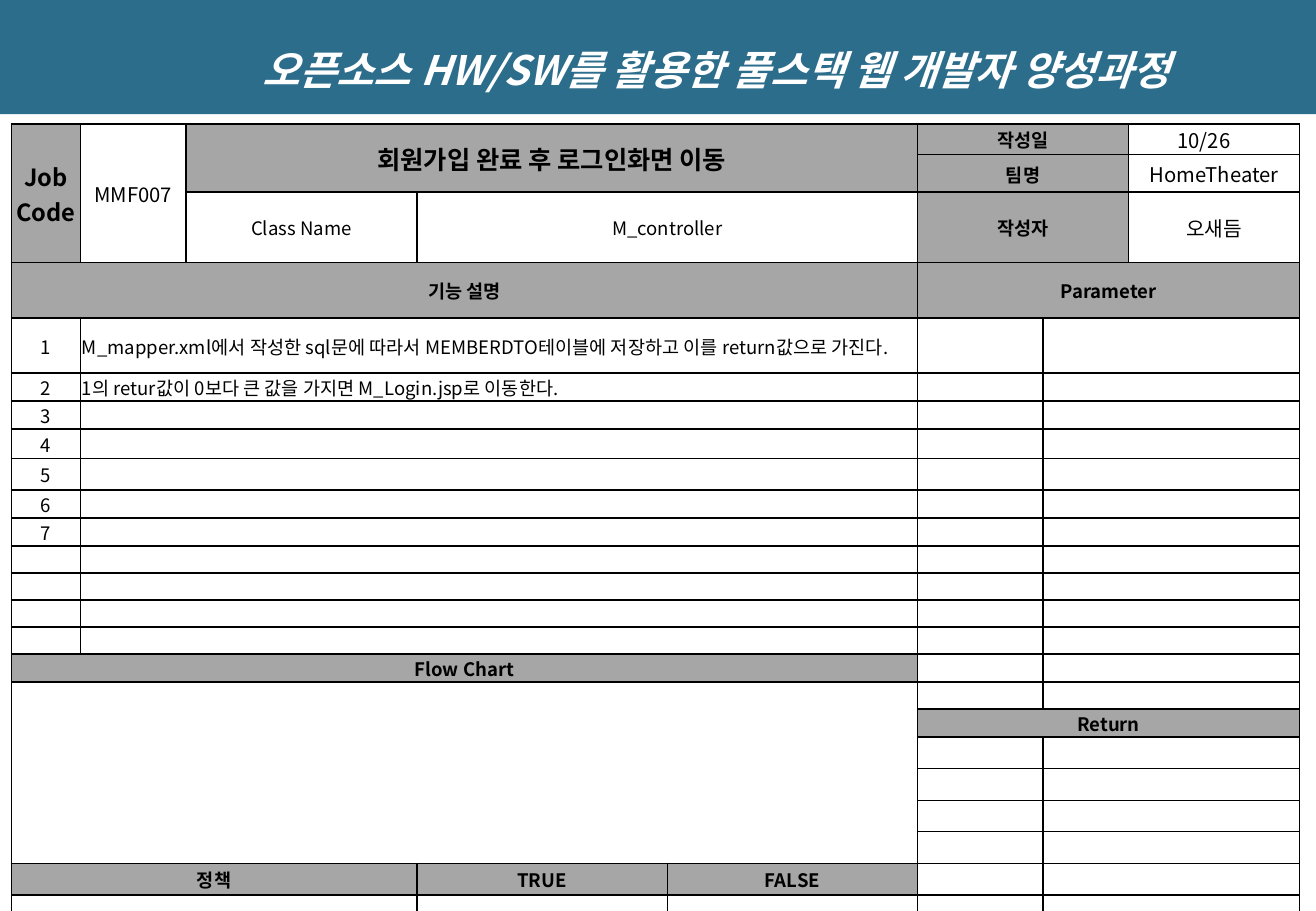
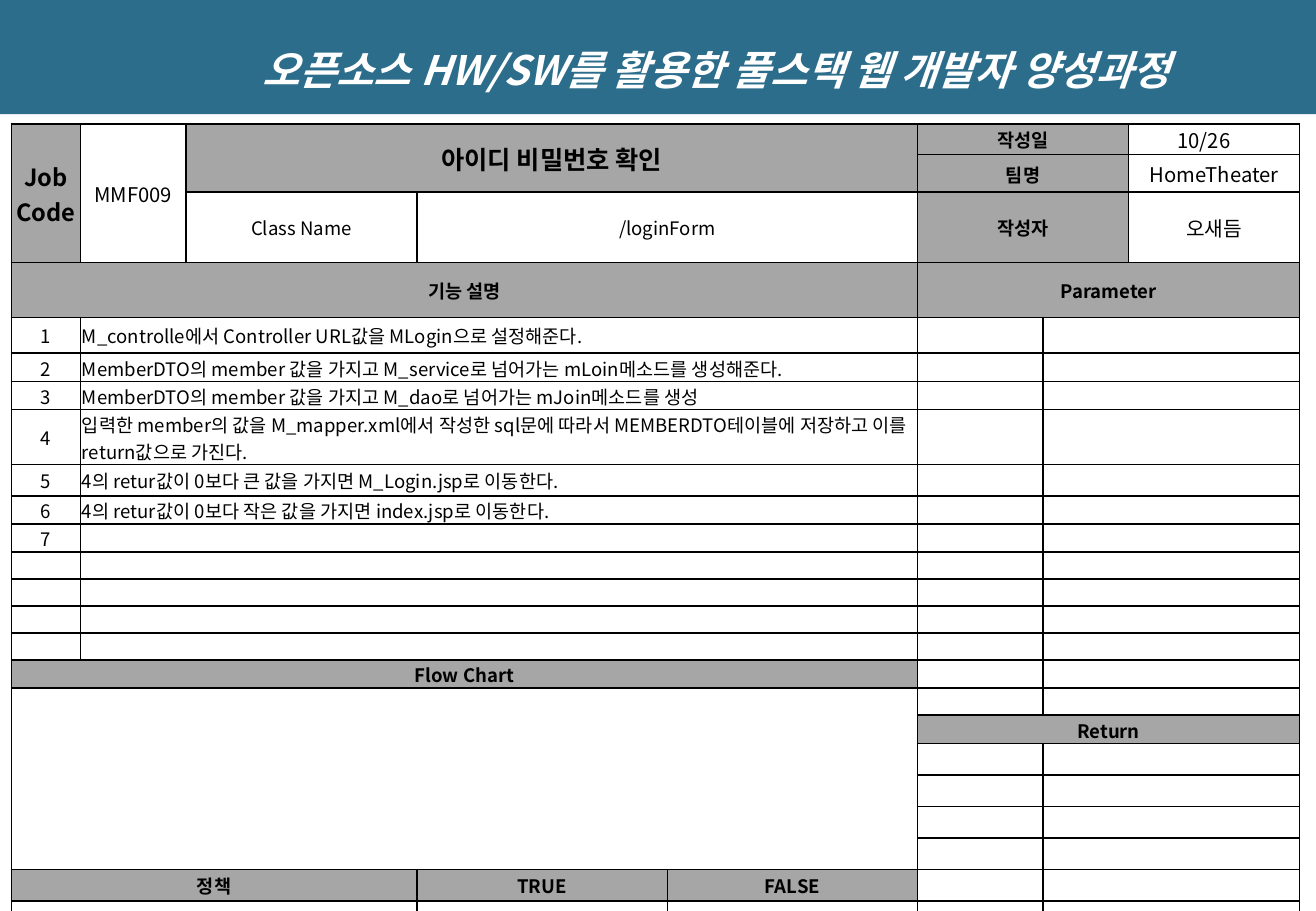
from lxml.etree import SubElement
from pptx import Presentation
from pptx.dml.color import RGBColor
from pptx.enum.shapes import MSO_SHAPE as SHAPE
from pptx.enum.text import MSO_ANCHOR as ANCHOR, PP_ALIGN as ALIGN
from pptx.oxml.ns import qn
from pptx.util import Pt

FONT = "Noto Sans CJK KR"
BLUE, GRAY, BLACK, WHITE = "2C6D8B", "A6A6A6", "000000", "FFFFFF"
TITLE = "오픈소스 HW/SW를 활용한 풀스택 웹 개발자 양성과정"
COLS = [41.2, 62.4, 136.9, 148.4, 148.4, 74.4, 50.6, 101.3]
BODY = range(4, 15)
L, C = ALIGN.LEFT, ALIGN.CENTER


def write(tf, text, size=11, color=BLACK, bold=False, italic=False, align=C):
    tf.word_wrap = True
    tf.vertical_anchor = ANCHOR.MIDDLE
    p = tf.paragraphs[0]
    p.alignment = align
    p.text = text
    for r in p.runs:
        f = r.font
        f.name, f.size, f.bold, f.italic = FONT, Pt(size), bold, italic
        f.color.rgb = RGBColor.from_string(color)
        SubElement(r._r.rPr, qn("a:ea"), typeface=FONT)
    # Line breaks and empty paragraphs keep the text size
    for br in p._p.findall(qn("a:br")):
        SubElement(br, qn("a:rPr"), sz=str(size * 100))
    if not text:
        SubElement(p._p, qn("a:endParaRPr"), sz=str(size * 100))
    return p


def border(cell, color=BLACK, width=1):
    tcPr = cell._tc.get_or_add_tcPr()
    for side in ("a:lnL", "a:lnR", "a:lnT", "a:lnB"):
        ln = SubElement(tcPr, qn(side), w=str(Pt(width)))
        SubElement(SubElement(ln, qn("a:solidFill")), qn("a:srgbClr"), val=color)


# Row heights that both forms share; each form changes a few
HEIGHTS = [16] * 3 + [33] + [16] * 4 + [18.7] + [16] * 8 + [14.4] + [18.7] * 7

# Form layout: row, column, rows, columns, text, size, gray header
FORM = [
    (0, 0, 3, 1, "Job\vCode", 14, True),
    (0, 5, 1, 2, "작성일", 11, True),
    (0, 7, 1, 1, "10/26　", 12, False),
    (1, 5, 1, 2, "팀명", 11, True),
    (1, 7, 1, 1, "HomeTheater", 12, False),
    (2, 2, 1, 1, "Class Name", 11, False),
    (2, 5, 1, 2, "작성자", 11, True),
    (2, 7, 1, 1, "오새듬", 12, False),
    (3, 0, 1, 5, "기능 설명", 11, True),
    (3, 5, 1, 3, "Parameter", 11, True),
    (15, 0, 1, 5, "Flow Chart", 11, True),
    (16, 0, 6, 5, "", 11, False),
    (17, 5, 1, 3, "Return", 11, True),
    (22, 0, 1, 3, "정책", 11, True),
    (22, 3, 1, 1, "TRUE", 11, True),
    (22, 4, 1, 1, "FALSE", 11, True),
]
FORM += [(BODY[i], 0, 1, 1, str(i + 1), 11, False) for i in range(7)]
FORM += [(i, 6, 1, 2, "", 11, False) for i in range(4, 25) if i != 17]
FORM += [(i, 0, 1, 3, "", 11, False) for i in (23, 24)]

JOBS = [
    dict(code="MMF007", name="회원가입 완료 후 로그인화면 이동", cls="M_controller",
         heights={4: 28, 7: 17.3},
         steps=["M_mapper.xml에서 작성한 sql문에 따라서 MEMBERDTO테이블에 저장하고 이를 return값으로 가진다.",
                "1의 retur값이 0보다 큰 값을 가지면 M_Login.jsp로 이동한다."]),
    dict(code="MMF009", name="아이디 비밀번호 확인", cls="/loginForm",
         heights={3: 32.6, 4: 21.3, 7: 27.4},
         steps=["M_controlle에서 Controller URL값을 MLogin으로 설정해준다.",
                "MemberDTO의 member 값을 가지고 M_service로 넘어가는 mLoin메소드를 생성해준다.",
                "MemberDTO의 member 값을 가지고 M_dao로 넘어가는 mJoin메소드를 생성",
                "입력한 member의 값을 M_mapper.xml에서 작성한 sql문에 따라서 MEMBERDTO테이블에 "
                "저장하고 이를 return값으로 가진다.",
                "4의 retur값이 0보다 큰 값을 가지면 M_Login.jsp로 이동한다.",
                "4의 retur값이 0보다 작은 값을 가지면 index.jsp로 이동한다."]),
]

prs = Presentation()
prs.slide_width, prs.slide_height = Pt(780), Pt(540)

for job in JOBS:
    s = prs.slides.add_slide(prs.slide_layouts[6])

    # Title band
    band = s.shapes.add_shape(SHAPE.RECTANGLE, 0, 0, Pt(780), Pt(67.7))
    band.shadow.inherit = False
    band.fill.solid()
    band.fill.fore_color.rgb = RGBColor.from_string(BLUE)
    band.line.fill.background()
    p = write(band.text_frame, TITLE, size=24, color=WHITE, bold=True, italic=True)
    p.line_spacing = 1.5
    band.text_frame.margin_left = Pt(76)

    # Table grid
    heights = [job["heights"].get(i, h) for i, h in enumerate(HEIGHTS)]
    frame = s.shapes.add_table(len(heights), len(COLS), Pt(6.7), Pt(73.4),
                               Pt(sum(COLS)), Pt(sum(heights)))
    tbl = frame.table
    tbl.first_row = tbl.horz_banding = False
    for col, w in zip(tbl.columns, COLS):
        col.width = Pt(w)
    for row, h in zip(tbl.rows, heights):
        row.height = Pt(h)

    # This job's own cells
    cells = FORM + [
        (0, 1, 3, 1, job["code"], 12, False),
        (0, 2, 2, 3, job["name"], 15, True),
        (2, 3, 1, 2, job["cls"], 11, False),
    ]
    steps = job["steps"] + [""] * (len(BODY) - len(job["steps"]))
    cells += [(i, 1, 1, 4, step, 11, False) for i, step in zip(BODY, steps)]

    # Merge, then fill and write every cell
    content = {}
    for i, j, rows, cols, text, size, gray in cells:
        content[i, j] = text, size, gray
        if rows * cols > 1:
            tbl.cell(i, j).merge(tbl.cell(i + rows - 1, j + cols - 1))
    for i in range(len(heights)):
        for j in range(len(COLS)):
            cell = tbl.cell(i, j)
            text, size, gray = content.get((i, j), ("", 11, False))
            border(cell)
            cell.fill.solid()
            cell.fill.fore_color.rgb = RGBColor.from_string(GRAY if gray else WHITE)
            cell.margin_left = cell.margin_right = cell.margin_top = Pt(0.7)
            cell.margin_bottom = 0
            cell.vertical_anchor = ANCHOR.MIDDLE
            write(cell.text_frame, text, size=size, bold=gray,
                  align=L if i in BODY and j == 1 else C)

prs.save("out.pptx")
